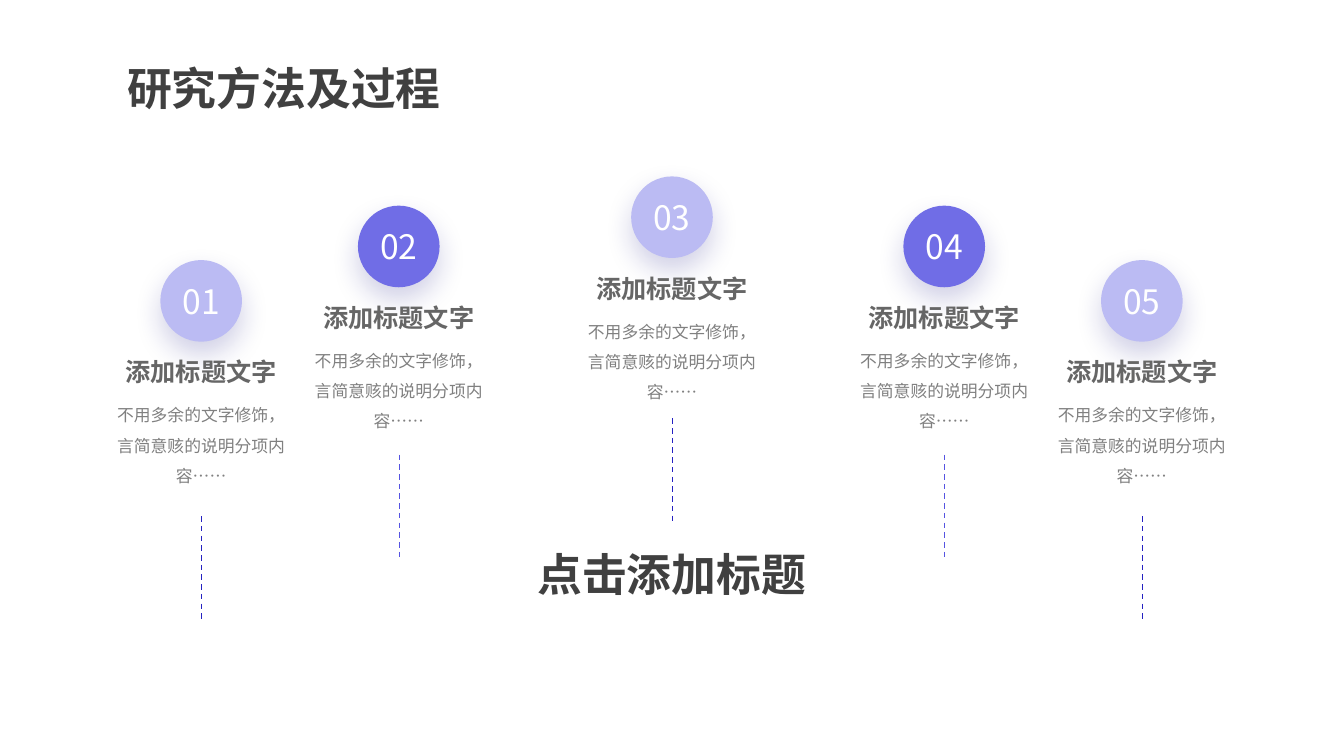
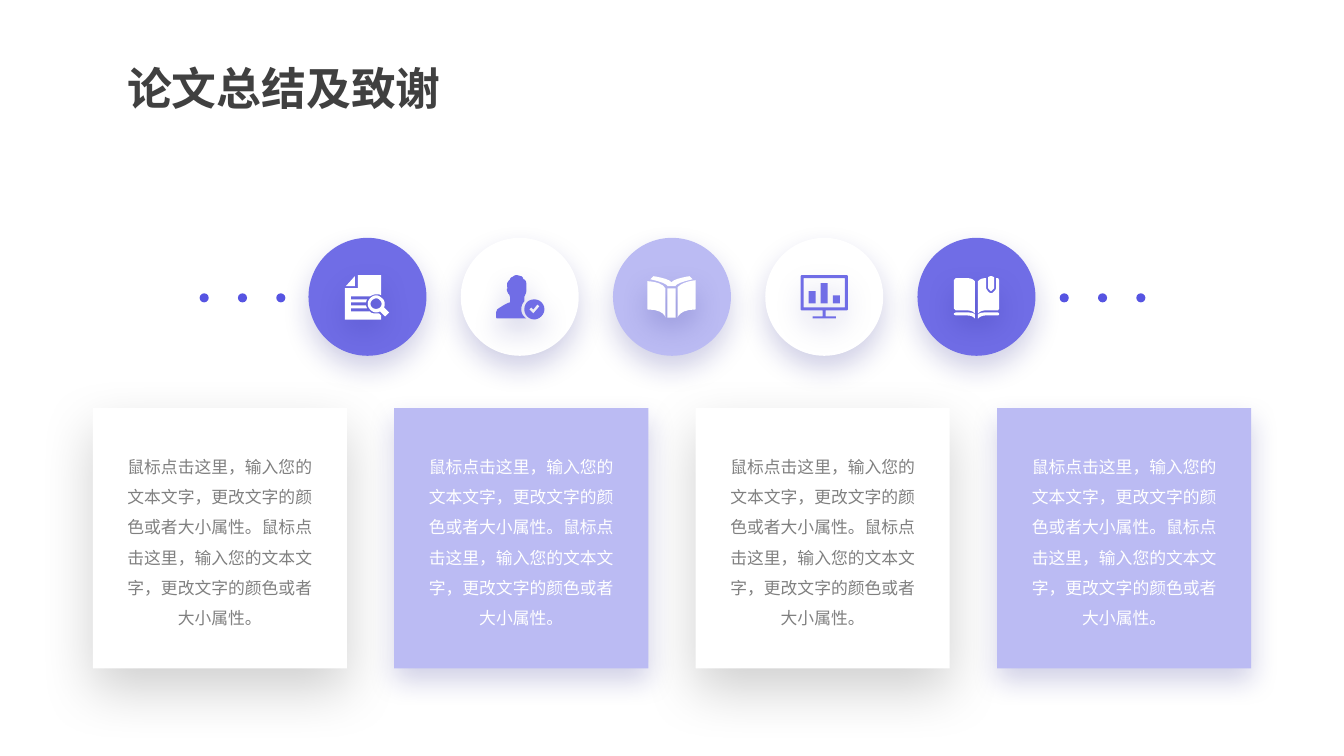
from lxml import etree
from pptx import Presentation
from pptx.dml.color import RGBColor
from pptx.enum.dml import MSO_LINE
from pptx.enum.shapes import MSO_CONNECTOR, MSO_SHAPE
from pptx.enum.text import MSO_ANCHOR, MSO_AUTO_SIZE, PP_ALIGN
from pptx.oxml.ns import qn
from pptx.util import Inches, Pt

OVAL, RECT = MSO_SHAPE.OVAL, MSO_SHAPE.RECTANGLE
LEFT, CENTER = PP_ALIGN.LEFT, PP_ALIGN.CENTER
TOP, MIDDLE = MSO_ANCHOR.TOP, MSO_ANCHOR.MIDDLE

FONT = "Noto Sans CJK SC"
WHITE, DARK, HEADING, GREY = "FFFFFF", "404040", "666666", "808080"
PALE, VIOLET, INDIGO, NAVY = "BBBBF3", "706DE6", "5654E2", "2521C1"
# Shadows: colour, opacity in percent, blur and distance in points
TINTED = ("181685", 20, 20, 9)
NEUTRAL = ("000000", 18, 40, 15)

STEP_TEXT = "不用多余的文字修饰，言简意赅的说明分项内容……"
CARD_TEXT = "鼠标点击这里，输入您的文本文字，更改文字的颜色或者大小属性。" * 2

# Icon outlines in hundredths of an inch from the corner of their circle
REPORT = """
M 67,60 C 66,60 64,61 63,62 61,64 61,67 63,69 65,71 69,71 71,69
 73,67 73,64 71,62 70,61 69,60 67,60
M 67,57 C 69,57 71,58 73,60 76,62 76,66 75,69 L 80,74 76,78 71,73
 C 67,75 64,74 61,71 58,68 58,63 61,60 63,58 65,57 67,57
M 46,38 L 46,48 37,48
M 49,37 L 72,37 72,57 C 71,56 69,56 67,56 65,56 63,57 61,58
 L 42,58 42,61 58,61 57,64 42,64 42,67 57,67 58,70 42,70 42,73 61,73
 C 62,75 65,75 67,75 L 70,75 72,77 72,81 36,81 36,50 49,50"""
PERSON = """
M 76,66 L 72,71 70,69 68,71 72,75 78,68
M 73,61 C 78,61 83,65 83,71 83,76 78,81 73,81 67,81 63,76 63,71
 63,65 67,61 73,61
M 55,37 C 57,37 59,38 60,38 62,39 62,41 62,41 62,41 66,41 65,49
 L 65,53 C 65,55 64,56 64,56 64,57 63,58 63,59 L 63,63
 C 61,65 60,68 60,71 60,75 62,78 65,80 L 37,80 C 36,80 35,80 35,78
 L 35,75 C 35,73 36,72 36,71 42,67 47,64 49,64 L 49,59 48,56
 C 47,56 47,55 46,53 45,50 46,50 47,50 L 46,49 46,45
 C 47,43 48,42 49,41 49,40 50,39 51,39 52,38 54,37 55,37"""
BOOK = """
M 54,50 L 62,50 62,79 54,79
M 34,43 C 34,43 48,43 52,50 L 52,79 C 52,79 51,71 34,71
M 82,42 L 82,71 C 66,71 64,79 64,79 L 64,49 C 69,43 82,42 82,42
M 40,38 C 40,38 55,40 58,44 61,40 76,38 76,38 L 79,41
 C 61,45 62,48 62,48 L 54,48 C 54,48 55,45 37,41"""
SCREEN = """
M 67,57 L 74,57 74,65 67,65
M 43,53 L 50,53 50,65 43,65
M 55,45 L 62,45 62,65 55,65
M 38,40 L 38,69 79,69 79,40
M 36,37 L 81,37 82,38 82,71 81,72 60,72 60,78 70,78 70,80 47,80 47,78
 57,78 57,72 36,72 35,71 35,38"""
NOTEBOOK = """
M 67,74 L 80,74 81,75 81,76 80,77 67,77 C 65,77 62,78 60,80
 L 60,76 C 62,74 65,74 67,74
M 38,74 L 50,74 C 52,74 55,74 57,76 L 57,80 C 55,78 53,77 50,77
 L 38,77 36,76 36,75
M 67,40 L 68,40 68,50 69,52 71,54 C 72,55 74,55 75,54 L 77,52 78,50
 78,40 80,40 81,42 81,70 80,72 67,72 C 64,72 62,73 60,75
 L 60,43 C 62,41 64,40 67,40
M 38,40 L 50,40 C 53,40 55,41 57,43 L 57,75 C 55,73 53,72 50,72
 L 38,72 36,70 36,42
M 72,38 L 74,38 76,39 76,50 75,51 73,53 71,51 70,50 70,39"""


def rgb(value):
    return RGBColor.from_string(value)


def write(sp, text, size, color, bold=False, align=CENTER, spacing=None,
          anchor=TOP, wrap=True):
    """Set and format the single paragraph of a shape."""
    tf = sp.text_frame
    tf.text = text
    tf.word_wrap, tf.vertical_anchor = wrap, anchor
    tf.auto_size = MSO_AUTO_SIZE.NONE
    p = tf.paragraphs[0]
    p.alignment = align
    if spacing:
        p.line_spacing = spacing
    for r in p.runs:
        r.font.size, r.font.bold, r.font.name = Pt(size), bold, FONT
        r.font.color.rgb = rgb(color)
        etree.SubElement(r.font._element, qn("a:ea"), typeface=FONT)


def textbox(s, x, y, w, h, text, size, color, **style):
    sp = s.shapes.add_textbox(Inches(x), Inches(y), Inches(w), Inches(h))
    write(sp, text, size, color, **style)


def paint(sp, fill, shadow=None):
    """Fill a shape, without outline, with an optional drop shadow."""
    sp.fill.solid()
    sp.fill.fore_color.rgb = rgb(fill)
    sp.line.fill.background()
    sp.shadow.inherit = False
    if shadow:
        color, opacity, blur, dist = shadow
        effects = sp._element.spPr.find(qn("a:effectLst"))
        outer = etree.SubElement(effects, qn("a:outerShdw"),
                                 blurRad=str(Pt(blur)), dist=str(Pt(dist)),
                                 dir="5400000", algn="t", rotWithShape="0")
        clr = etree.SubElement(outer, qn("a:srgbClr"), val=color)
        etree.SubElement(clr, qn("a:alpha"), val=str(opacity * 1000))


def shape(s, kind, x, y, w, h, fill, shadow=None):
    sp = s.shapes.add_shape(kind, Inches(x), Inches(y), Inches(w), Inches(h))
    paint(sp, fill, shadow)
    return sp


def curve(p0, p1, p2, p3, steps=6):
    """Points along a cubic curve, after its start."""
    for i in range(1, steps + 1):
        t = i / steps
        u = 1 - t
        yield tuple(u**3 * a + 3 * u * u * t * b + 3 * u * t * t * c + t**3 * d
                    for a, b, c, d in zip(p0, p1, p2, p3))


def contours(outline):
    """Turn an outline into one list of points per contour."""
    result, command, handles = [], "", []
    for token in outline.split():
        if token in ("M", "L", "C"):
            command = token
            continue
        point = tuple(float(v) for v in token.split(","))
        if command == "M":
            result.append([point])
        elif command == "L":
            result[-1].append(point)
        else:
            handles.append(point)
            if len(handles) == 3:
                result[-1].extend(curve(result[-1][-1], *handles))
                handles = []
    return result


def icon(s, x, y, outline, fill):
    fb = None
    for contour in contours(outline):
        pts = [(Inches(x + px / 100), Inches(y + py / 100))
               for px, py in contour]
        if fb is None:
            fb = s.shapes.build_freeform(*pts[0], scale=1.0)
        else:
            fb.move_to(*pts[0])
        fb.add_line_segments(pts[1:], close=True)
    paint(fb.convert_to_shape(), fill, TINTED)


def titled_slide(prs, title):
    s = prs.slides.add_slide(prs.slide_layouts[5])
    sp = s.shapes.title
    sp.left, sp.top = Inches(1.16), Inches(0.39)
    sp.width, sp.height = Inches(4.72), Inches(0.75)
    write(sp, title, 32, DARK, bold=True, align=LEFT, spacing=1.3)
    return s


def step(s, cx, y, number, fill, line_y, line_color):
    """Numbered circle, heading, text and dashed line centred on cx."""
    sp = shape(s, OVAL, cx - 0.41, y, 0.81, 0.81, fill, TINTED)
    write(sp, number, 24, WHITE, anchor=MIDDLE, wrap=False)
    textbox(s, cx - 1.04, y + 0.91, 2.07, 0.4, "添加标题文字", 18, HEADING,
            bold=True)
    textbox(s, cx - 1.01, y + 1.29, 2.01, 1.01, STEP_TEXT, 12, GREY,
            spacing=1.5)
    line = s.shapes.add_connector(MSO_CONNECTOR.STRAIGHT, Inches(cx),
                                  Inches(line_y), Inches(cx),
                                  Inches(line_y + 1.02))
    line.line.color.rgb = rgb(line_color)
    line.line.width = Pt(1)
    line.line.dash_style = MSO_LINE.DASH
    etree.SubElement(line._element.spPr, qn("a:effectLst"))


def card(s, x, y, fill, color, shadow):
    sp = shape(s, RECT, x, y, 2.52, 2.58, fill, shadow)
    tf = sp.text_frame
    tf.margin_left = tf.margin_right = Inches(0.28)
    tf.margin_top = Inches(0.38)
    write(sp, CARD_TEXT, 12, color, spacing=1.5)


def dots(s, x, y):
    for i in range(3):
        shape(s, OVAL, x + 0.38 * i, y, 0.09, 0.09, INDIGO)


def method_slide(prs):
    s = titled_slide(prs, "研究方法及过程")
    steps = [(2, 2.58, PALE, 5.12, NAVY),
             (3.96, 2.04, VIOLET, 4.51, INDIGO),
             (6.67, 1.75, PALE, 4.15, NAVY),
             (9.37, 2.04, VIOLET, 4.51, INDIGO),
             (11.33, 2.58, PALE, 5.12, NAVY)]
    for i, (cx, y, fill, line_y, line_color) in enumerate(steps, 1):
        step(s, cx, y, f"{i:02}", fill, line_y, line_color)
    textbox(s, 4.88, 5.37, 3.57, 0.64, "点击添加标题", 32, DARK, bold=True,
            anchor=MIDDLE)


def summary_slide(prs):
    s = titled_slide(prs, "论文总结及致谢")
    # Row of icons between two groups of dots
    icons = [(REPORT, VIOLET, WHITE), (PERSON, WHITE, VIOLET),
             (BOOK, PALE, WHITE), (SCREEN, WHITE, VIOLET),
             (NOTEBOOK, VIOLET, WHITE)]
    for i, (outline, fill, color) in enumerate(icons):
        x, y = 3.06 + 1.51 * i, 2.36
        shape(s, OVAL, x, y, 1.17, 1.17, fill, TINTED)
        icon(s, x, y, outline, color)
    for x in (1.98, 10.51):
        dots(s, x, 2.91)
    # Cards in alternating colours
    styles = [(WHITE, GREY, NEUTRAL), (PALE, WHITE, TINTED)] * 2
    for i, style in enumerate(styles):
        card(s, 0.92 + 2.99 * i, 4.05, *style)


def main():
    prs = Presentation()
    prs.slide_width, prs.slide_height = Inches(13.33), Inches(7.5)
    method_slide(prs)
    summary_slide(prs)
    prs.save("out.pptx")


if __name__ == "__main__":
    main()
